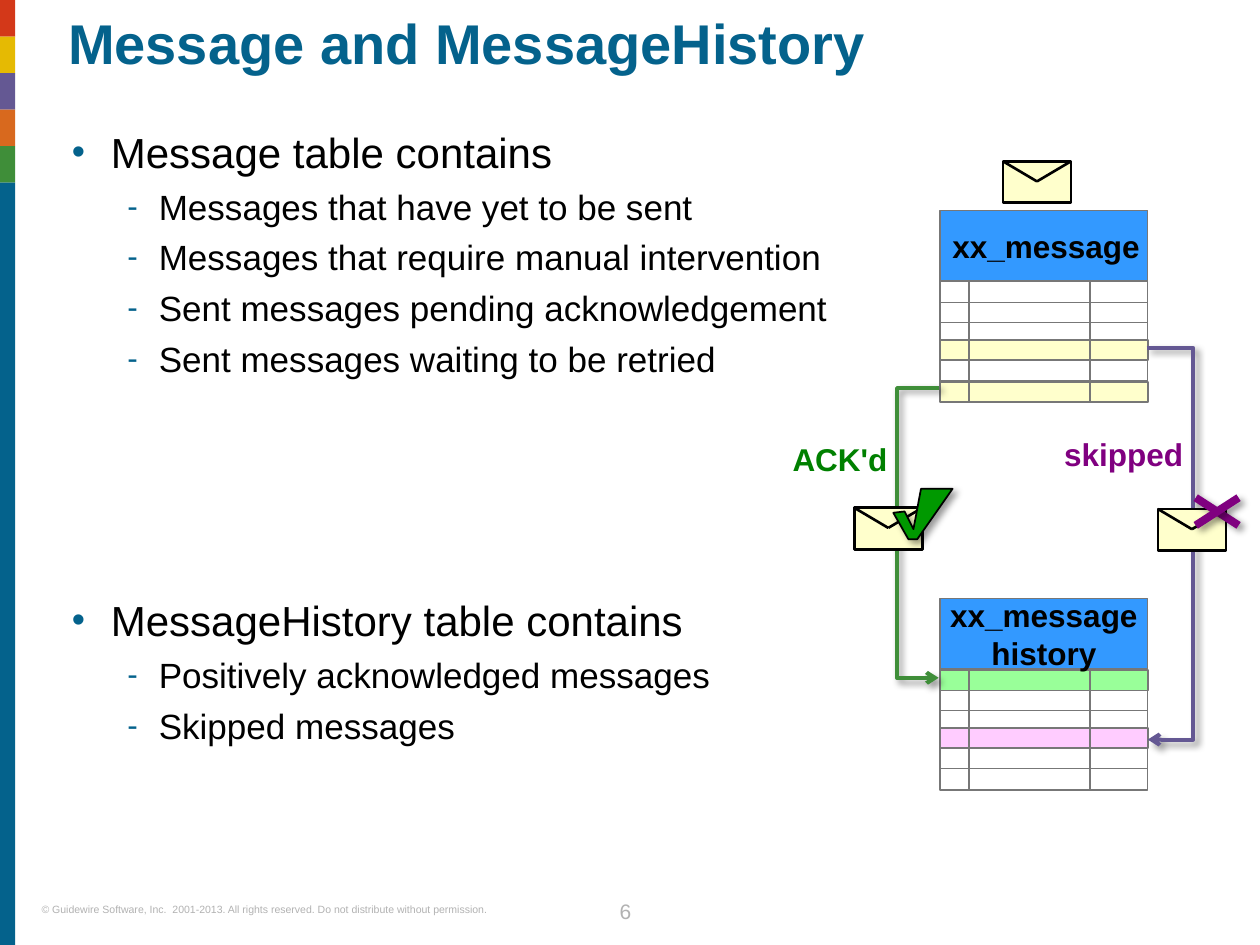
"""Build the slide that compares the message table with the message history table."""
from lxml import etree
from pptx import Presentation, util as u
from pptx.dml.color import RGBColor
from pptx.enum import shapes, text
from pptx.oxml import ns

Inches = u.Inches
RECTANGLE = shapes.MSO_SHAPE.RECTANGLE
BLUE, GRAY, BLACK, CREAM = "04628C", "777777", "000000", "FFFFCC"


def paint(shape, fill=None, line=None, width=1, shadow=False):
    if fill:
        shape.fill.solid()
        shape.fill.fore_color.rgb = RGBColor.from_string(fill)
    elif hasattr(shape, "fill"):
        shape.fill.background()
    if line:
        shape.line.color.rgb = RGBColor.from_string(line)
        shape.line.width = u.Pt(width)
    else:
        shape.line.fill.background()
    effects = etree.SubElement(shape._element.spPr, ns.qn("a:effectLst"))
    if shadow:
        outer = etree.SubElement(effects, ns.qn("a:outerShdw"), blurRad="50800", dist="38100",
                                 dir="2700000", algn="tl", rotWithShape="0")
        color = etree.SubElement(outer, ns.qn("a:srgbClr"), val=BLACK)
        etree.SubElement(color, ns.qn("a:alpha"), val="40000")


def write(paragraph, words, size, color, bold=False, align=text.PP_ALIGN.LEFT):
    paragraph.text = words
    paragraph.alignment = align
    paragraph.font.name = "Arial"
    paragraph.font.size = u.Pt(size)
    paragraph.font.bold = bold
    paragraph.font.color.rgb = RGBColor.from_string(color)


presentation = Presentation()
presentation.slide_width, presentation.slide_height = Inches(10), Inches(7.5)
slide = presentation.slides.add_slide(presentation.slide_layouts[1])

stripe = 0.29
for index, color in enumerate(["D33819", "E5BA03", "645893", "D8691E", "3F8E39", BLUE]):
    height = 7.5 - index * stripe if color == BLUE else stripe
    paint(slide.shapes.add_shape(RECTANGLE, 0, Inches(index * stripe), Inches(0.12), Inches(height)), color)

title, body = slide.placeholders
for placeholder, box in [(title, (0.54, 0.13, 9.1, 0.81)), (body, (0.57, 1, 6.05, 6))]:
    placeholder.left, placeholder.top, placeholder.width, placeholder.height = map(Inches, box)
    frame = placeholder.text_frame
    frame.margin_left = frame.margin_top = frame.margin_right = frame.margin_bottom = 0
    frame.vertical_anchor = text.MSO_ANCHOR.TOP
    frame.auto_size = text.MSO_AUTO_SIZE.NONE
    frame.word_wrap = True
write(title.text_frame.paragraphs[0], "Message and MessageHistory", 32, BLUE, True)
title.text_frame.paragraphs[0].line_spacing = 0.9

items = [
    (0, 0, "Message table contains"),
    (1, 5, "Messages that have yet to be sent"),
    (1, 5, "Messages that require manual intervention"),
    (1, 5, "Sent messages pending acknowledgement"),
    (1, 5, "Sent messages waiting to be retried"),
    (0, 123, "MessageHistory table contains"),
    (1, 5, "Positively acknowledged messages"),
    (1, 5, "Skipped messages"),
]
for index, (level, space, words) in enumerate(items):
    paragraph = body.text_frame.add_paragraph() if index else body.text_frame.paragraphs[0]
    paragraph.level = level
    paragraph.space_before = u.Pt(space)
    properties = paragraph._p.get_or_add_pPr()
    properties.set("marL", str(Inches((0.31, 0.69)[level])))
    properties.set("indent", str(-Inches((0.31, 0.25)[level])))
    bullet_color = etree.SubElement(properties, ns.qn("a:buClr"))
    etree.SubElement(bullet_color, ns.qn("a:srgbClr"), val=BLUE)
    etree.SubElement(properties, ns.qn("a:buSzPct"), val="90000")
    etree.SubElement(properties, ns.qn("a:buFont"), typeface="Arial")
    etree.SubElement(properties, ns.qn("a:buChar"), char="•-"[level])
    write(paragraph, words, (24, 20)[level], BLACK)

table_left, table_width, header_height, body_height = 7.46, 1.65, 0.56, 0.96
tables = [
    (1.67, "xx_message", text.PP_ALIGN.LEFT, [(0.8, CREAM), (0.47, CREAM)]),
    (4.75, "xx_message\vhistory", text.PP_ALIGN.CENTER, [(0.47, "FFCCFF"), (0.01, "99FF99")]),
]
for top, name, align, bands in tables:
    rows_top = top + header_height
    rectangles = [(rows_top + offset, 0.16, color, 1) for offset, color in bands]
    rectangles += [(rows_top, body_height, None, 0.75), (top, header_height, "3399FF", 0.75)]
    for y, height, color, width in rectangles:
        shape = slide.shapes.add_shape(RECTANGLE, Inches(table_left), Inches(y),
                                       Inches(table_width), Inches(height))
        paint(shape, color, GRAY, width)
    shape.text_frame.word_wrap = False
    shape.text_frame.vertical_anchor = text.MSO_ANCHOR.MIDDLE
    write(shape.text_frame.paragraphs[0], name, 18, BLACK, True, align)
    grid = [(table_left, rows_top + offset, table_left + table_width, rows_top + offset)
            for offset in (0.17, 0.33, 0.47, 0.63, 0.79)]
    grid += [(x, rows_top, x, rows_top + body_height) for x in (7.69, 8.65)]
    for ends in grid:
        paint(slide.shapes.add_connector(shapes.MSO_CONNECTOR.STRAIGHT, *map(Inches, ends)), line=GRAY)

for color, points in [
    ("645893", [(9.1, 2.76), (9.47, 2.76), (9.47, 5.87), (9.11, 5.87)]),
    ("3F8E39", [(7.45, 3.08), (7.12, 3.08), (7.12, 5.38), (7.45, 5.38)]),
]:
    corners = [(Inches(x), Inches(y)) for x, y in points]
    builder = slide.shapes.build_freeform(*corners[0])
    builder.add_line_segments(corners[1:], close=False)
    arrow = builder.convert_to_shape()
    paint(arrow, line=color, width=2.25, shadow=True)
    etree.SubElement(arrow.line._get_or_add_ln(), ns.qn("a:tailEnd"), type="arrow")

copyright_line = "© Guidewire Software, Inc.  2001-2013. All rights reserved. Do not distribute without permission."
for box, words, size, color, bold, align in [
    ((6.29, 3.49, 0.76, 0.3), "ACK'd", 18, "008000", True, text.PP_ALIGN.LEFT),
    ((8.39, 3.45, 1, 0.3), "skipped", 18, "800080", True, text.PP_ALIGN.RIGHT),
    ((0.33, 7.17, 4.02, 0.1), copyright_line, 6, "B2B2B2", False, text.PP_ALIGN.LEFT),
    ((4.68, 7.08, 0.57, 0.25), "6", 12, "B2B2B2", False, text.PP_ALIGN.CENTER),
]:
    frame = slide.shapes.add_textbox(*map(Inches, box)).text_frame
    frame.margin_left = frame.margin_top = frame.margin_right = frame.margin_bottom = 0
    frame.word_wrap = True
    write(frame.paragraphs[0], words, size, color, bold, align)
frame.paragraphs[0].line_spacing = u.Pt(18)

for left, top in [(9.19, 4.04), (6.78, 4.03), (7.96, 1.28)]:
    envelope = slide.shapes.add_shape(RECTANGLE, Inches(left), Inches(top), Inches(0.54), Inches(0.33))
    paint(envelope, CREAM, BLACK, 1.5)
    for x in (left, left + 0.54):
        flap = slide.shapes.add_connector(shapes.MSO_CONNECTOR.STRAIGHT, Inches(left + 0.27),
                                          Inches(top + 0.16), Inches(x), Inches(top))
        paint(flap, line=BLACK, width=1.5)

for start, end in [(3.95, 4.17), (4.17, 3.95)]:
    cross = slide.shapes.add_connector(shapes.MSO_CONNECTOR.STRAIGHT, Inches(9.49), Inches(start),
                                       Inches(9.83), Inches(end))
    paint(cross, line="800080", width=4.5, shadow=True)

outline = [(7.09, 4.07), (7.21, 4.28), (7.28, 4.28), (7.56, 3.88), (7.31, 3.88), (7.25, 4.2), (7.18, 4.06)]
corners = [(Inches(x), Inches(y)) for x, y in outline]
builder = slide.shapes.build_freeform(*corners[0])
builder.add_line_segments(corners[1:])
paint(builder.convert_to_shape(), "009900", BLACK, 1, shadow=True)

presentation.save("out.pptx")
